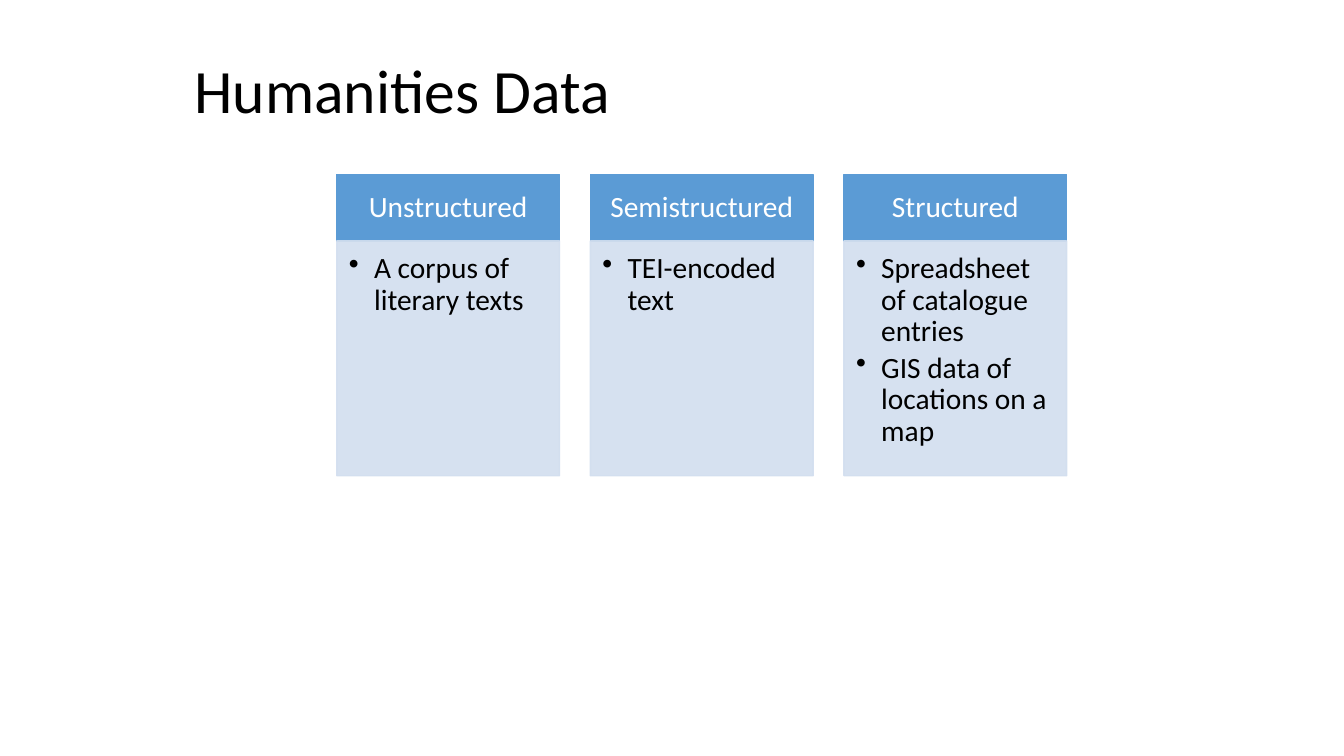
from lxml import etree
from pptx import Presentation
from pptx.dml.color import RGBColor
from pptx.enum.shapes import MSO_SHAPE
from pptx.enum.text import MSO_ANCHOR, MSO_AUTO_SIZE, PP_ALIGN
from pptx.oxml.ns import qn
from pptx.util import Inches, Pt

RECTANGLE = MSO_SHAPE.RECTANGLE
TOP, MIDDLE = MSO_ANCHOR.TOP, MSO_ANCHOR.MIDDLE
LEFT, CENTER = PP_ALIGN.LEFT, PP_ALIGN.CENTER
NO_AUTOFIT = MSO_AUTO_SIZE.NONE

COLORS = {"header": "5B9BD5", "body": "D2DEEF", "text": "000000", "header text": "FFFFFF"}
FONT = "Calibri"
TEXT_SIZE = 21
COLUMNS = [
    ("Unstructured", ["A corpus of literary texts"]),
    ("Semistructured", ["TEI-encoded text"]),
    ("Structured", ["Spreadsheet of catalogue entries", "GIS data of locations on a map"]),
]
GRID_LEFT, GRID_TOP = 3.34, 1.73
COLUMN_WIDTH, COLUMN_GAP = 2.21, 0.305
HEADER_HEIGHT, BODY_HEIGHT = 0.66, 2.33


def write_run(paragraph, text, size, color):
    paragraph.line_spacing = 0.9
    run = paragraph.add_run()
    run.text = text
    run.font.name = FONT
    run.font.size = Pt(size)
    run.font.color.rgb = RGBColor.from_string(COLORS[color])


def add_box(left, top, height, color, anchor, margins):
    """Add a filled rectangle one column wide; margins run left, top, right, bottom."""
    box = slide.shapes.add_shape(
        RECTANGLE, Inches(left), Inches(top), Inches(COLUMN_WIDTH), Inches(height))
    box.shadow.inherit = False
    box.fill.solid()
    box.fill.fore_color.rgb = RGBColor.from_string(COLORS[color])
    box.line.color.rgb = RGBColor.from_string(COLORS[color])
    box.line.width = Pt(1)
    frame = box.text_frame
    frame.word_wrap = True
    frame.vertical_anchor = anchor
    (frame.margin_left, frame.margin_top,
     frame.margin_right, frame.margin_bottom) = map(Inches, margins)
    return box


presentation = Presentation()
presentation.slide_width = Inches(13.33)
presentation.slide_height = Inches(7.5)
slide = presentation.slides.add_slide(presentation.slide_layouts[5])

title = slide.shapes.title
title.left, title.top = Inches(1.83), Inches(0.3)
title.width, title.height = Inches(9.5), Inches(1.25)
title.text_frame.auto_size = NO_AUTOFIT
title.text_frame.vertical_anchor = MIDDLE
title_paragraph = title.text_frame.paragraphs[0]
title_paragraph.alignment = LEFT
write_run(title_paragraph, "Humanities Data", 44, "text")

for column, (heading, examples) in enumerate(COLUMNS):
    left = GRID_LEFT + column * (COLUMN_WIDTH + COLUMN_GAP)

    header = add_box(left, GRID_TOP, HEADER_HEIGHT, "header", MIDDLE,
                     (0.16, 0.09, 0.16, 0.09))
    paragraph = header.text_frame.paragraphs[0]
    paragraph.alignment = CENTER
    write_run(paragraph, heading, TEXT_SIZE, "header text")

    body = add_box(left, GRID_TOP + HEADER_HEIGHT, BODY_HEIGHT, "body", TOP,
                   (0.12, 0.12, 0.16, 0.18))
    for color_element in body._element.spPr.iter(qn("a:srgbClr")):
        etree.SubElement(color_element, qn("a:alpha"), val="90000")

    for row, example in enumerate(examples):
        frame = body.text_frame
        paragraph = frame.add_paragraph() if row else frame.paragraphs[0]
        properties = paragraph._p.get_or_add_pPr()
        properties.set("marL", str(Inches(0.25)))
        properties.set("indent", str(-Inches(0.25)))
        etree.SubElement(properties, qn("a:buChar"), char="•")
        paragraph.level = 1
        paragraph.alignment = LEFT
        paragraph.space_after = Pt(0.15 * TEXT_SIZE)
        write_run(paragraph, example, TEXT_SIZE, "text")

presentation.save("out.pptx")
